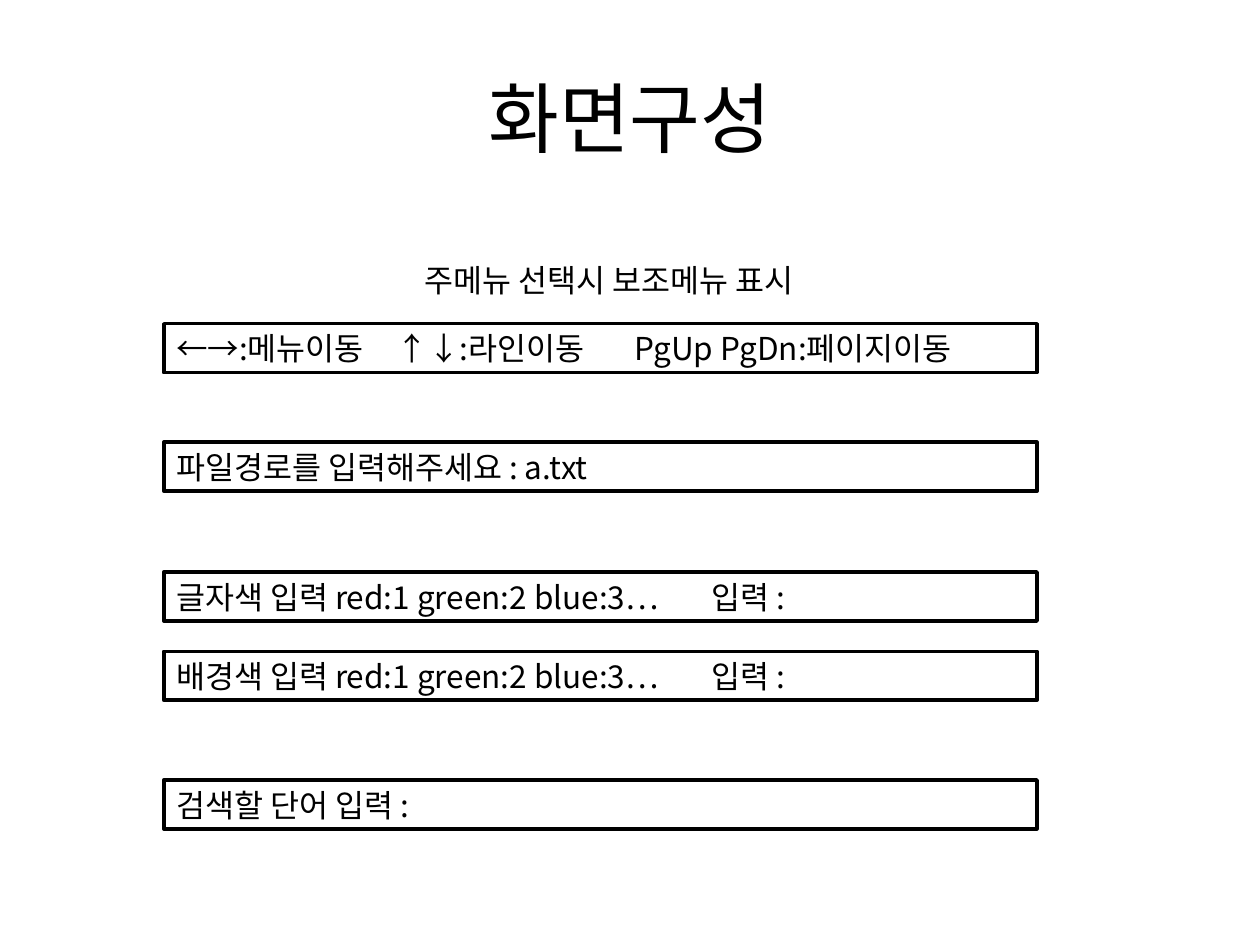
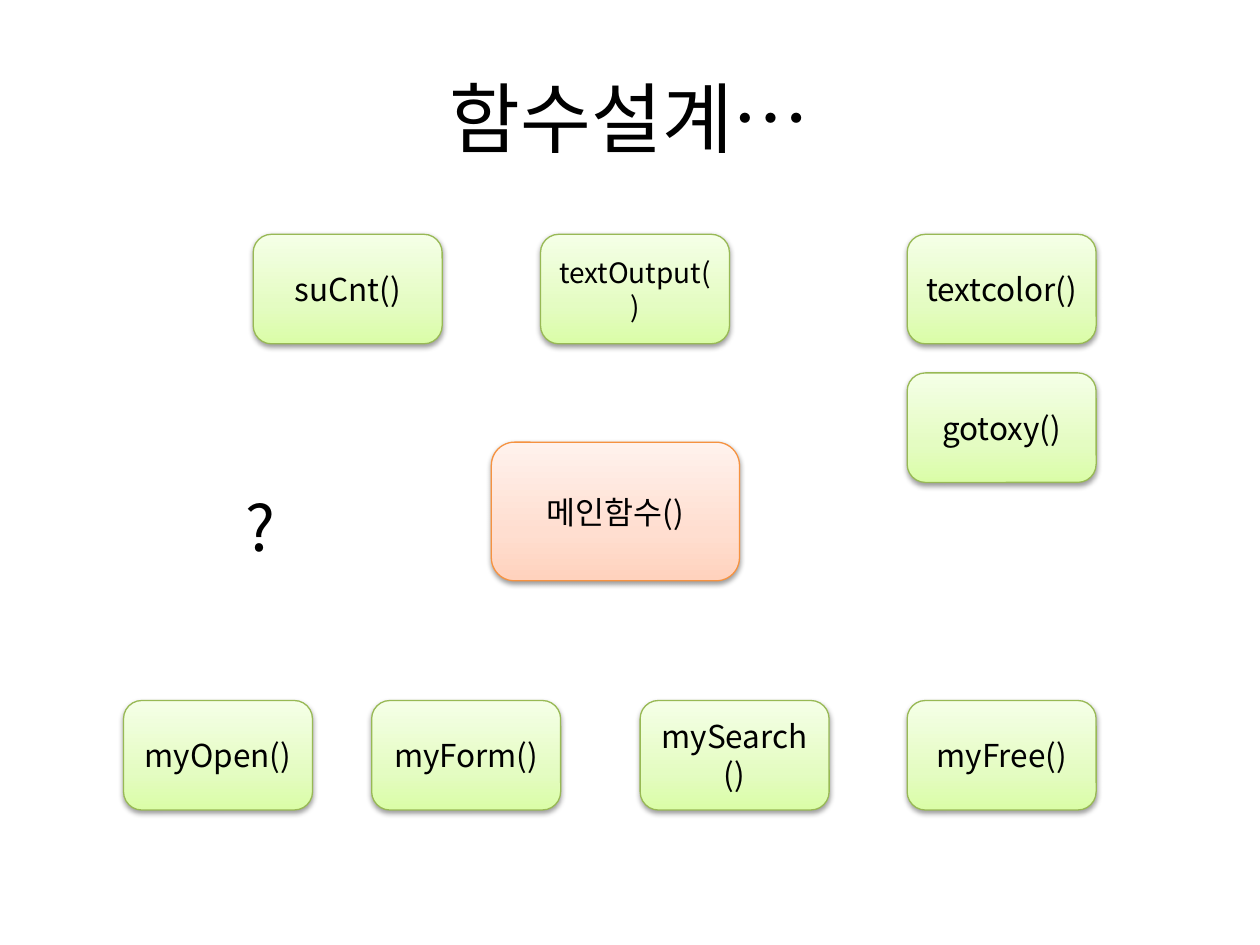
from dataclasses import dataclass

from lxml.etree import SubElement
from pptx import Presentation
from pptx.dml.color import RGBColor
from pptx.enum.shapes import MSO_SHAPE
from pptx.enum.text import MSO_ANCHOR, MSO_AUTO_SIZE, PP_ALIGN
from pptx.oxml.ns import qn
from pptx.util import Pt


@dataclass(frozen=True)
class Theme:
    font: str = "Noto Sans CJK KR"
    ink: str = "000000"
    paper: str = "FFFFFF"
    title: int = 44
    mark: int = 36
    body: int = 18
    small: int = 16
    green: tuple = ("98B955", "DAFDA7", "E4FCC2", "F5FFE7")
    orange: tuple = ("F69240", "FFD2BD", "FFDED0", "FFF2ED")
    stops: tuple = (0, 35, 100)


THEME = Theme()
HEAD = (36, 21.6, 648, 90)

PROMPTS = [
    (185, "←→:메뉴이동\t↑↓:라인이동\tPgUp PgDn:페이지이동", (126, 262)),
    (252.7, "파일경로를 입력해주세요 : a.txt", ()),
    (326.9, "글자색 입력 red:1 green:2 blue:3…\t입력 :", (306,)),
    (372.2, "배경색 입력 red:1 green:2 blue:3…\t입력 :", (306,)),
    (445.7, "검색할 단어 입력 :", ()),
]
BAR = (93.6, 499, 28)
HINT = ("주메뉴 선택시 보조메뉴 표시", (235.4, 145.4, 252, 29))

ROWS = [
    (133.9, [(144.7, "suCnt()"), (308.9, "textOutput()"), (518.4, "textcolor()")]),
    (213.1, [(518.4, "gotoxy()")]),
    (400.3, [(70.6, "myOpen()"), (212.4, "myForm()"), (365.8, "mySearch()"), (518.4, "myFree()")]),
]
CARD = (108, 62.6)
SMALL = {"textOutput()"}
MAIN = ("메인함수()", (280.8, 252.7, 141.8, 79.2))
QUERY = ("?", (133.2, 275.8, 96.5, 51))


def color(code):
    return RGBColor.from_string(code)


def place(shape, box):
    shape.left, shape.top, shape.width, shape.height = map(Pt, box)


def write(shape, text, size=THEME.body, align=PP_ALIGN.LEFT,
          anchor=MSO_ANCHOR.MIDDLE, wrap=True, grow=False, tabs=()):
    frame = shape.text_frame
    frame.word_wrap = wrap
    frame.vertical_anchor = anchor
    if grow:
        frame.auto_size = MSO_AUTO_SIZE.SHAPE_TO_FIT_TEXT
    para = frame.paragraphs[0]
    para.alignment = align
    run = para.add_run()
    run.text = text
    run.font.name = THEME.font
    run.font.size = Pt(size)
    run.font.color.rgb = color(THEME.ink)
    SubElement(run._r.get_or_add_rPr(), qn("a:ea"), typeface=THEME.font)
    if tabs:
        stops = SubElement(para._p.get_or_add_pPr(), qn("a:tabLst"))
        for pos in tabs:
            SubElement(stops, qn("a:tab"), pos=str(Pt(pos)), algn="l")


def label(slide, text, box, **style):
    shape = slide.shapes.add_textbox(*map(Pt, box))
    write(shape, text, anchor=MSO_ANCHOR.TOP, grow=True, **style)


def block(slide, kind, box, edge, width):
    shape = slide.shapes.add_shape(kind, *map(Pt, box))
    shape.shadow.inherit = False
    shape.line.color.rgb = color(edge)
    shape.line.width = Pt(width)
    return shape


def card(slide, text, box, tone, size=THEME.body):
    edge, *shades = tone
    shape = block(slide, MSO_SHAPE.ROUNDED_RECTANGLE, box, edge, 0.75)
    shape.fill.gradient()
    shape.fill.gradient_angle = 90
    props = shape._element.spPr
    stops = props.find(qn("a:gradFill")).find(qn("a:gsLst"))
    for stop in list(stops):
        stops.remove(stop)
    for pos, shade in zip(THEME.stops, shades):
        stop = SubElement(stops, qn("a:gs"), pos=str(pos * 1000))
        SubElement(stop, qn("a:srgbClr"), val=shade)
    cast = SubElement(props.find(qn("a:effectLst")), qn("a:outerShdw"),
                      blurRad=str(Pt(3.1)), dist=str(Pt(1.6)),
                      dir="5400000", rotWithShape="0")
    shade = SubElement(cast, qn("a:srgbClr"), val=THEME.ink)
    SubElement(shade, qn("a:alpha"), val="38000")
    write(shape, text, size=size, align=PP_ALIGN.CENTER)


def start(deck, text):
    slide = deck.slides.add_slide(deck.slide_layouts[5])
    place(slide.shapes.title, HEAD)
    write(slide.shapes.title, text, size=THEME.title, align=PP_ALIGN.CENTER)
    return slide


def screen(deck):
    slide = start(deck, "화면구성")
    left, width, height = BAR
    for top, text, tabs in PROMPTS:
        bar = block(slide, MSO_SHAPE.RECTANGLE, (left, top, width, height), THEME.ink, 2)
        bar.fill.solid()
        bar.fill.fore_color.rgb = color(THEME.paper)
        write(bar, text, tabs=tabs)
    label(slide, *HINT, wrap=False)


def design(deck):
    slide = start(deck, "함수설계…")
    card(slide, *MAIN, THEME.orange)
    for top, items in ROWS:
        for left, text in items:
            size = THEME.small if text in SMALL else THEME.body
            card(slide, text, (left, top, *CARD), THEME.green, size)
    label(slide, *QUERY, size=THEME.mark)


deck = Presentation()
deck.slide_width, deck.slide_height = Pt(720), Pt(540)
screen(deck)
design(deck)
deck.save("out.pptx")
